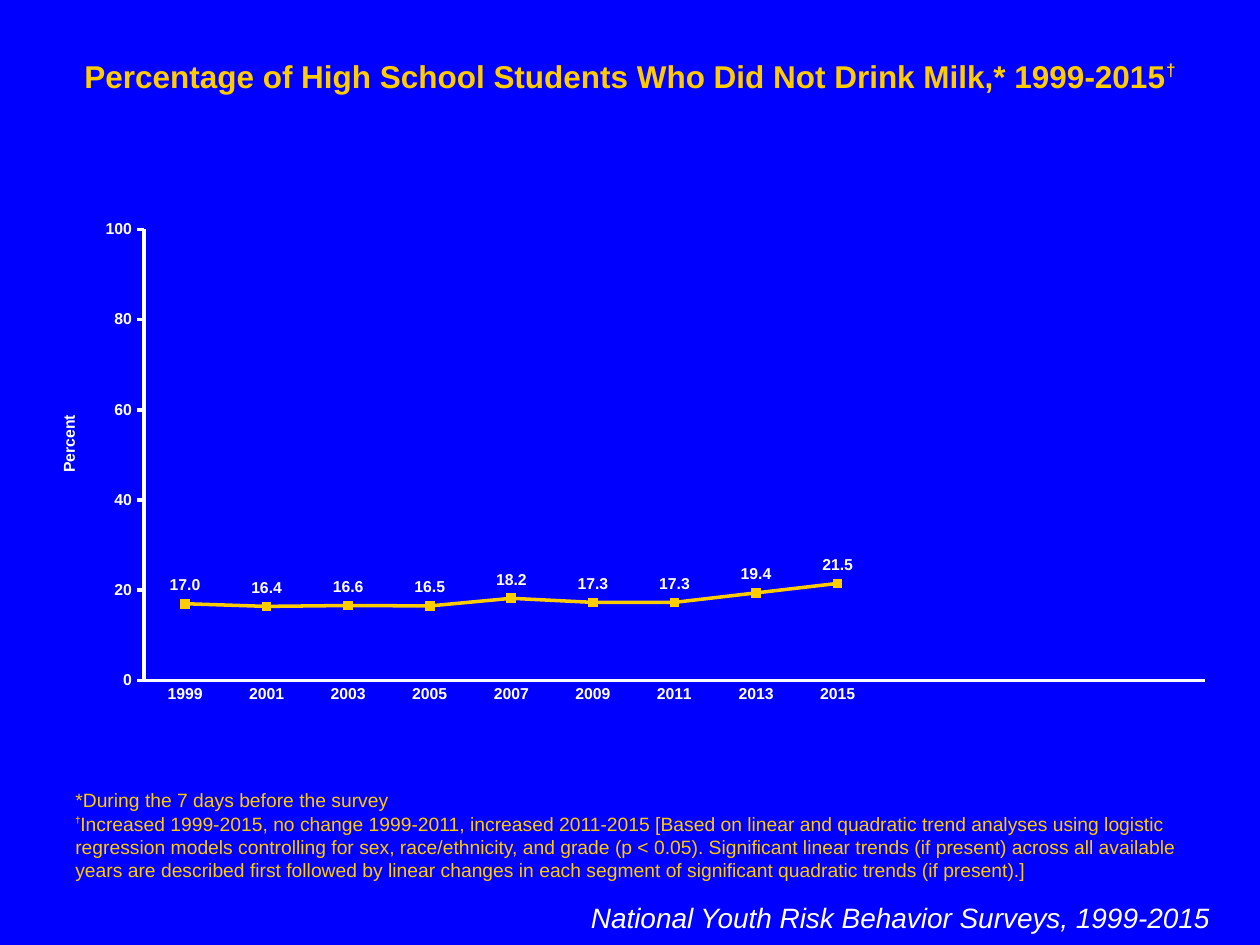
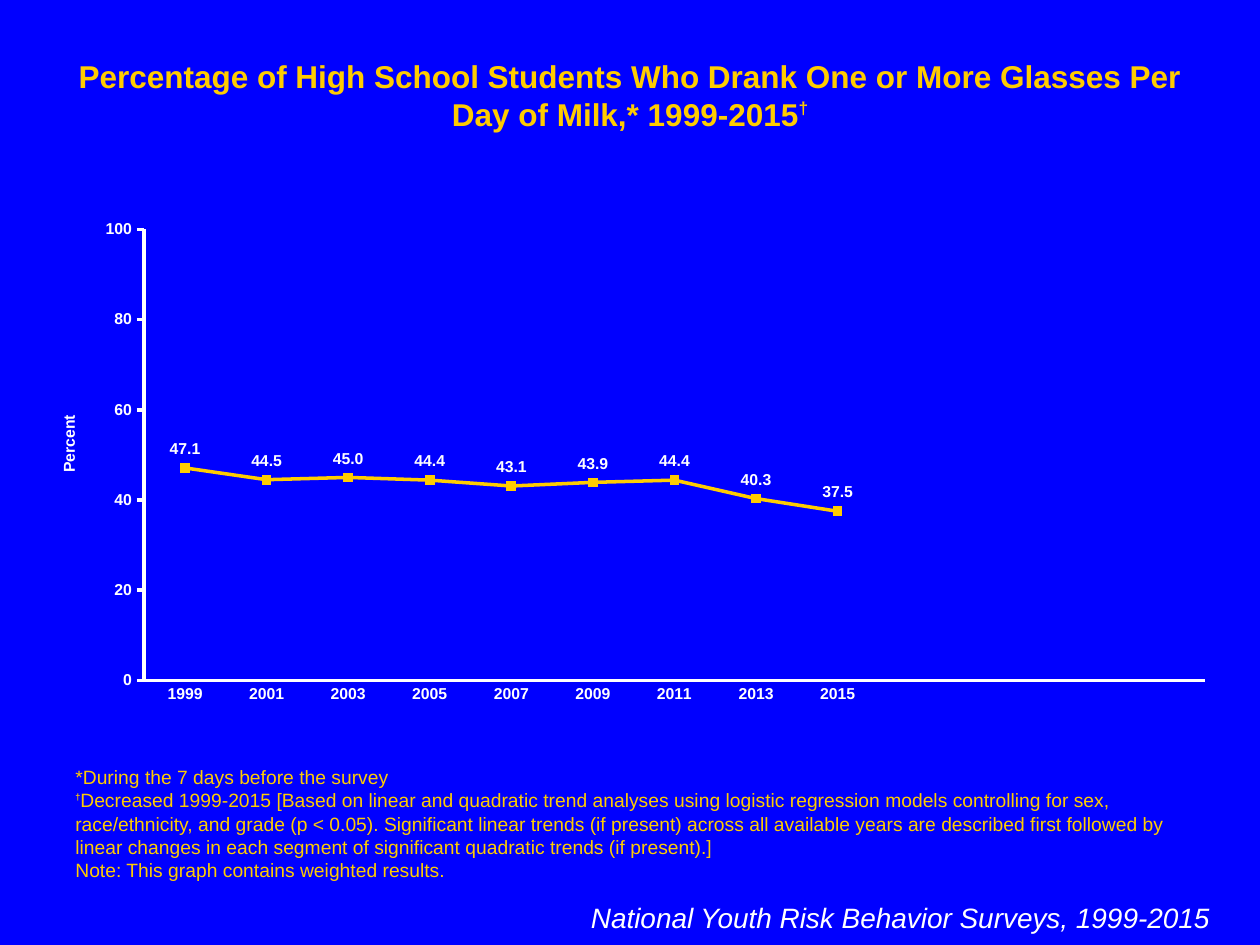
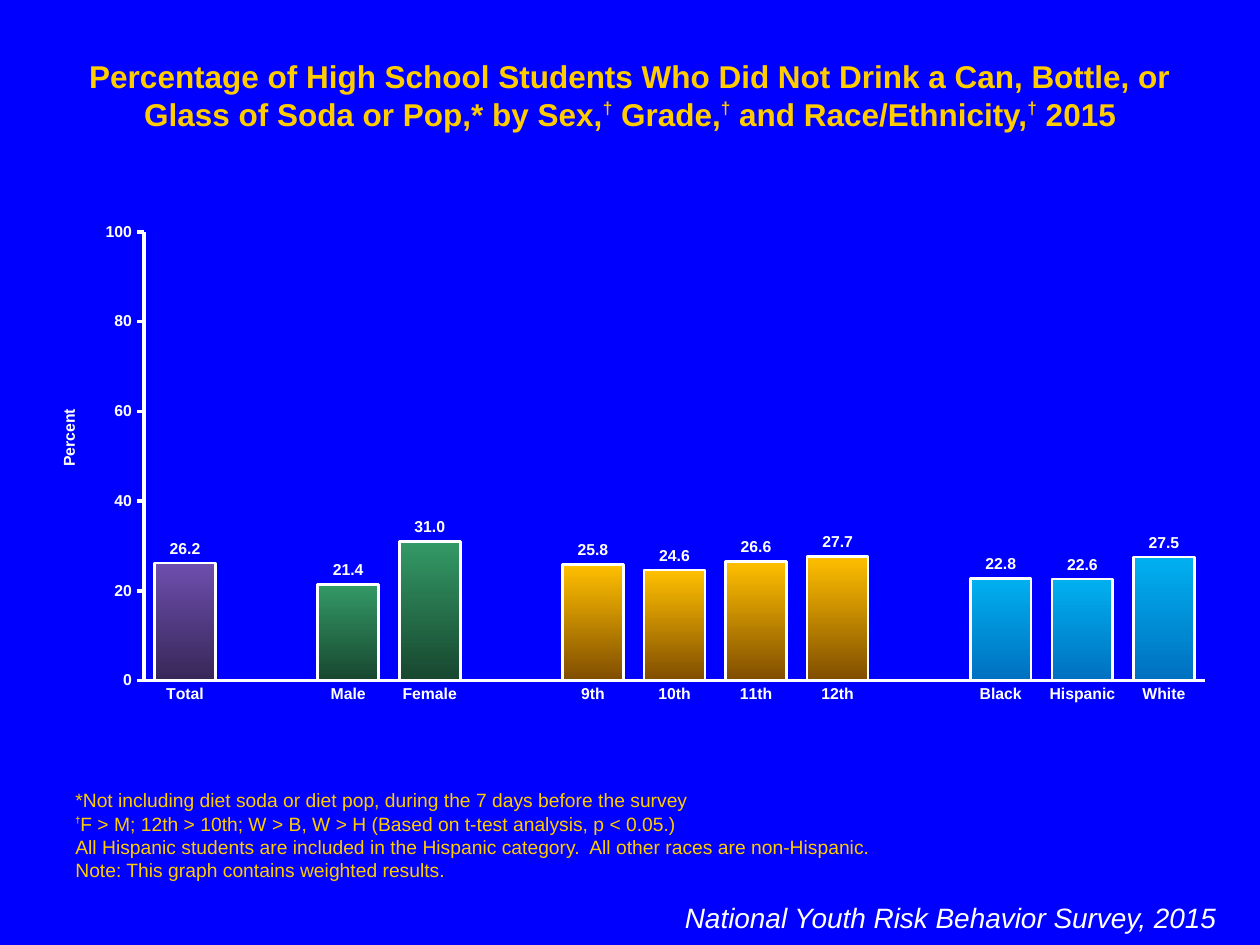
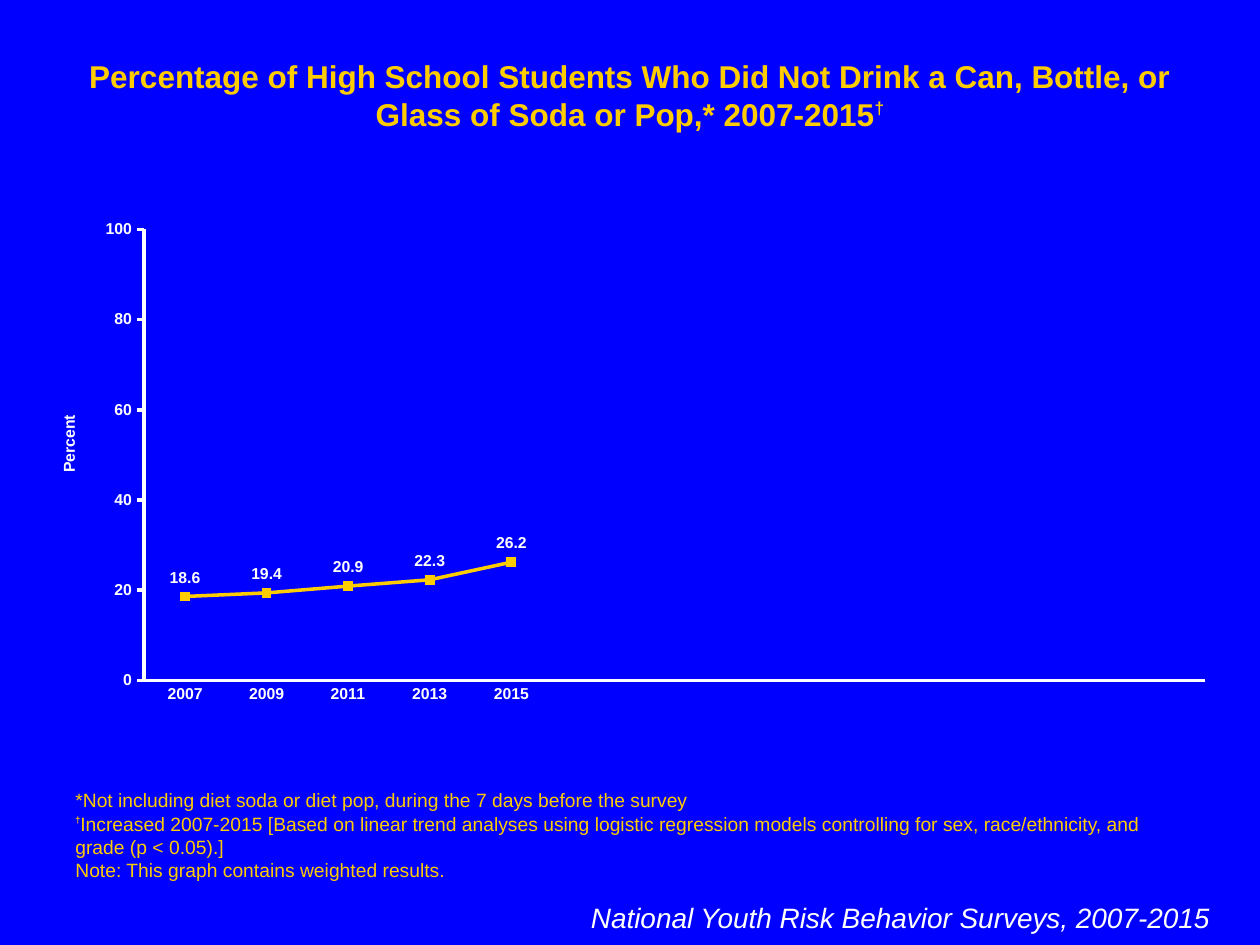
from lxml import etree
from pptx import Presentation
from pptx import util as u
from pptx.chart.data import CategoryChartData
from pptx.dml.color import RGBColor
from pptx.enum import chart as kinds
from pptx.enum import text
from pptx.oxml.ns import qn

HUES = {"back": "0000FF", "gold": "FFCC00", "white": "FFFFFF", "base": "26CA59"}
FADES = {
    "total": ("6E4EAE", "372757"),
    "sex": ("339966", "18472F"),
    "grade": ("FFC000", "804D00"),
    "race": ("00B0F0", "0070C0"),
}
GROUPS = {"total": [0], "sex": [2, 3], "grade": [5, 6, 7, 8], "race": [10, 11, 12]}
RGB = {name: RGBColor.from_string(code) for name, code in HUES.items()}

LOOKS = {
    "title": {"size": u.Pt(18), "bold": True, "hue": "gold", "mark": u.Pt(17), "lift": 40000,
              "side": text.PP_ALIGN.CENTER, "anchor": text.MSO_ANCHOR.TOP},
    "note": {"size": u.Pt(11), "bold": False, "hue": "gold", "mark": u.Pt(9), "lift": 50000,
             "side": text.PP_ALIGN.LEFT, "anchor": text.MSO_ANCHOR.BOTTOM},
    "foot": {"size": u.Pt(16), "italic": True, "hue": "white",
             "side": text.PP_ALIGN.RIGHT, "anchor": text.MSO_ANCHOR.TOP},
}
AXIS = {"size": u.Pt(9), "bold": True, "name": "Arial"}

DAYS = "*During the 7 days before the survey"
DIET = "*Not including diet soda or diet pop, during the 7 days before the survey"
MODEL = "trend analyses using logistic regression models controlling for sex, race/ethnicity, and grade (p < 0.05)."
TREND = (
    f"[Based on linear and quadratic {MODEL} Significant linear trends (if present) across all available years "
    "are described first followed by linear changes in each segment of significant quadratic trends (if present).]"
)
WEIGHT = "Note: This graph contains weighted results."
LEAD = "Percentage of High School Students Who"
SODA = f"{LEAD} Did Not Drink a Can, Bottle, or Glass of Soda or Pop,*"
YEARS = [str(year) for year in range(1999, 2016, 2)]
SLOTS = 13

PAGES = [
    {
        "title": f"{LEAD} Did Not Drink Milk,* 1999-2015†",
        "note": [DAYS, f"†Increased 1999-2015, no change 1999-2011, increased 2011-2015 {TREND}"],
        "foot": "National Youth Risk Behavior Surveys, 1999-2015",
        "cats": YEARS,
        "vals": [17, 16.4, 16.6, 16.5, 18.2, 17.3, 17.3, 19.4, 21.5],
    },
    {
        "title": f"{LEAD} Drank One or More Glasses Per Day of Milk,* 1999-2015†",
        "note": [DAYS, f"†Decreased 1999-2015 {TREND}", WEIGHT],
        "foot": "National Youth Risk Behavior Surveys, 1999-2015",
        "cats": YEARS,
        "vals": [47.1, 44.5, 45, 44.4, 43.1, 43.9, 44.4, 40.3, 37.5],
    },
    {
        "title": f"{SODA} by Sex,† Grade,† and Race/Ethnicity,† 2015",
        "note": [
            DIET,
            "†F > M; 12th > 10th; W > B, W > H (Based on t-test analysis, p < 0.05.)",
            "All Hispanic students are included in the Hispanic category.  All other races are non-Hispanic.",
            WEIGHT,
        ],
        "foot": "National Youth Risk Behavior Survey, 2015",
        "cats": ["Total", "", "Male", "Female", "", "9th", "10th", "11th", "12th", "",
                 "Black", "Hispanic", "White"],
        "vals": [26.2, None, 21.4, 31, None, 25.8, 24.6, 26.6, 27.7, None, 22.8, 22.6, 27.5],
        "bars": True,
    },
    {
        "title": f"{SODA} 2007-2015†",
        "note": [DIET, f"†Increased 2007-2015 [Based on linear {MODEL}]", WEIGHT],
        "foot": "National Youth Risk Behavior Surveys, 2007-2015",
        "cats": YEARS[4:],
        "vals": [18.6, 19.4, 20.9, 22.3, 26.2],
    },
]


def write(shape, box, lines, look):
    for side, size in zip(("left", "top", "width", "height"), box):
        setattr(shape, side, u.Cm(size))
    frame = shape.text_frame
    frame.word_wrap = True
    frame.auto_size = text.MSO_AUTO_SIZE.SHAPE_TO_FIT_TEXT
    frame.vertical_anchor = look["anchor"]
    for row, line in enumerate(lines):
        para = frame.add_paragraph() if row else frame.paragraphs[0]
        para.alignment = look["side"]
        bits = []
        for part, bit in enumerate(line.split("†")):
            bits += ["†"] * (part > 0) + [bit] * (bit != "")
        for bit in bits:
            run = para.add_run()
            run.text = bit
            run.font.name = "Arial"
            run.font.color.rgb = RGB[look["hue"]]
            for key in ("size", "bold", "italic"):
                setattr(run.font, key, look.get(key))
            if bit == "†":
                run.font.size = look["mark"]
                run.font.bold = True
                run.font._element.set("baseline", str(look["lift"]))


def place(host, **spots):
    lay = host.find(qn("c:layout"))
    if lay is None:
        lay = etree.Element(qn("c:layout"))
        host.insert(0, lay)
    hand = etree.SubElement(lay, qn("c:manualLayout"))
    for tag, val in spots.items():
        etree.SubElement(hand, qn("c:" + tag)).set("val", str(val))


deck = Presentation()
deck.slide_width, deck.slide_height = u.Cm(25.4), u.Cm(19.05)
back = deck.slide_master.background.fill
back.solid()
back.fore_color.rgb = RGB["back"]

for page in PAGES:
    bars = page.get("bars", False)
    slide = deck.slides.add_slide(deck.slide_layouts[5])
    write(slide.shapes.title, (1.27, 1.02, 22.86, 1.02), [page["title"]], LOOKS["title"])
    note = slide.shapes.add_textbox(0, 0, 0, 0)
    write(note, (1.27, 17.15, 22.86, 0.74), page["note"], LOOKS["note"])
    foot = slide.shapes.add_textbox(0, 0, 0, 0)
    spot = (10.8, 18.03, 13.97, 1.63) if bars else (11.51, 18.03, 13.13, 0.94)
    write(foot, spot, [page["foot"]], LOOKS["foot"])

    blank = SLOTS - len(page["cats"])
    data = CategoryChartData()
    data.categories = page["cats"] + [""] * blank
    data.add_series("Series 1", page["vals"] + [None] * blank)
    kind = kinds.XL_CHART_TYPE.COLUMN_CLUSTERED if bars else kinds.XL_CHART_TYPE.LINE_MARKERS
    top, tall = (4.29, 10.11) if bars else (4.24, 10.16)
    chart = slide.shapes.add_chart(
        kind, u.Cm(0.64), u.Cm(top), u.Cm(24.13), u.Cm(tall), data).chart
    chart.has_legend = chart.has_title = False
    chart.font.name, chart.font.size = "Arial", u.Pt(18)
    chart.font.color.rgb = RGB["white"]

    plot = chart.plots[0]
    plot.vary_by_categories = False
    plot.has_data_labels = True
    tags = plot.data_labels
    tags.show_value = True
    tags.number_format, tags.number_format_is_linked = "#,##0.0", False
    spots = kinds.XL_LABEL_POSITION
    tags.position = spots.OUTSIDE_END if bars else spots.ABOVE

    cat, val = chart.category_axis, chart.value_axis
    val.has_title = True
    val.axis_title.text_frame.text = "Percent"
    name = val.axis_title.text_frame.paragraphs[0].runs[0]
    for font in (tags.font, cat.tick_labels.font, val.tick_labels.font, name.font):
        for key, item in AXIS.items():
            setattr(font, key, item)
        font.color.rgb = RGB["white"]
    for axis, tick in ((cat, kinds.XL_TICK_MARK.NONE), (val, kinds.XL_TICK_MARK.OUTSIDE)):
        axis.has_major_gridlines = False
        axis.major_tick_mark = tick
        axis.minor_tick_mark = kinds.XL_TICK_MARK.NONE
        axis.format.line.color.rgb = RGB["white"]
        axis.format.line.width = u.Pt(2)
    for key, item in {"minimum_scale": 0, "maximum_scale": 100, "major_unit": 20}.items():
        setattr(val, key, item)
    val.tick_labels.number_format = "#,##0"
    val.tick_labels.number_format_is_linked = False
    area = next(chart._chartSpace.iter(qn("c:plotArea")))
    place(area, layoutTarget="inner", xMode="edge", yMode="edge", x=0.094, y=0.038, w=0.886, h=0.895)
    place(val.axis_title._element, xMode="edge", yMode="edge", x=0.02, y=0.4 if not bars else 0.385)

    row = plot.series[0]
    if bars:
        plot.gap_width, plot.overlap = 34, 100
        row.format.fill.solid()
        row.format.fill.fore_color.rgb = RGB["base"]
        for group, spots in GROUPS.items():
            for spot in spots:
                form = row.points[spot].format
                form.fill.gradient()
                form.fill.gradient_angle = 270
                for stop, code in zip(form.fill.gradient_stops, FADES[group]):
                    stop.color.rgb = RGBColor.from_string(code)
                form.line.color.rgb = RGB["white"]
                form.line.width = u.Pt(1.5)
    else:
        row.smooth = False
        row.format.line.color.rgb = RGB["gold"]
        row.format.line.width = u.Pt(2)
        row.marker.style, row.marker.size = kinds.XL_MARKER_STYLE.SQUARE, 5
        row.marker.format.fill.solid()
        row.marker.format.fill.fore_color.rgb = RGB["gold"]
        row.marker.format.line.color.rgb = RGB["gold"]

deck.save("out.pptx")
